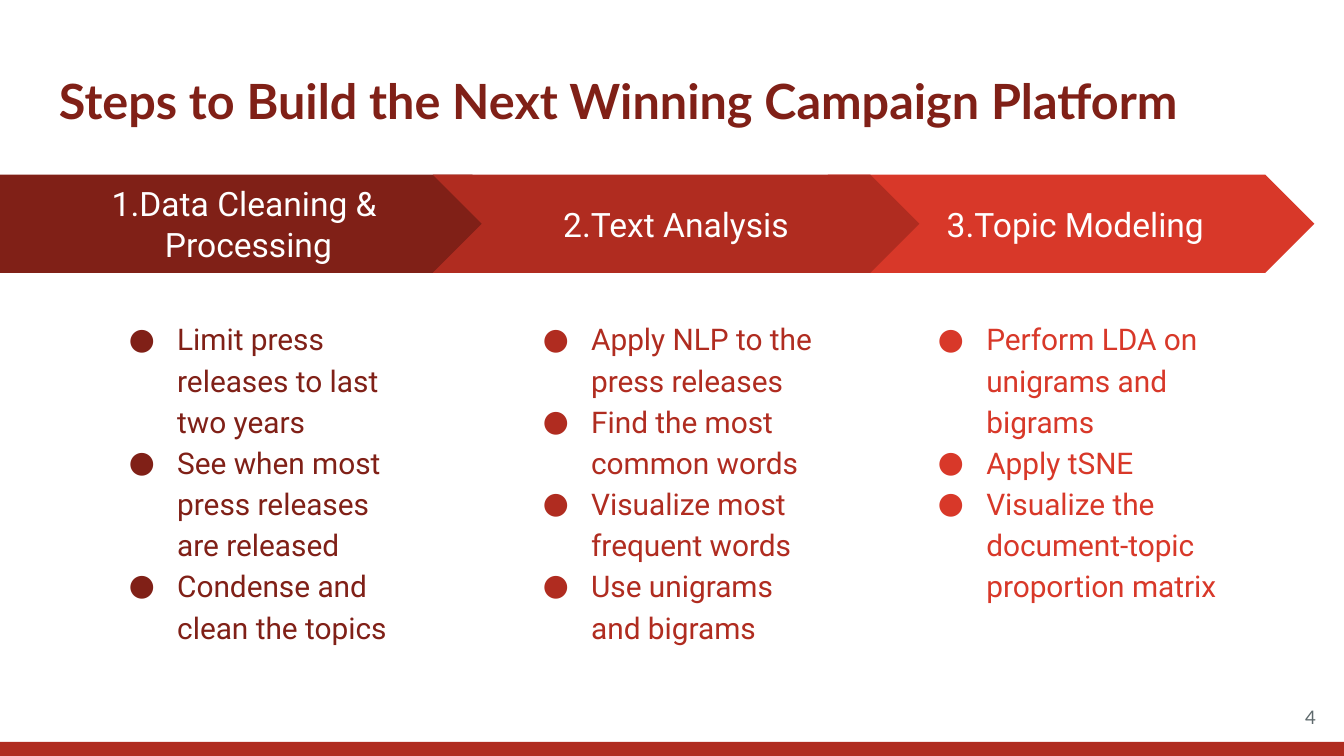
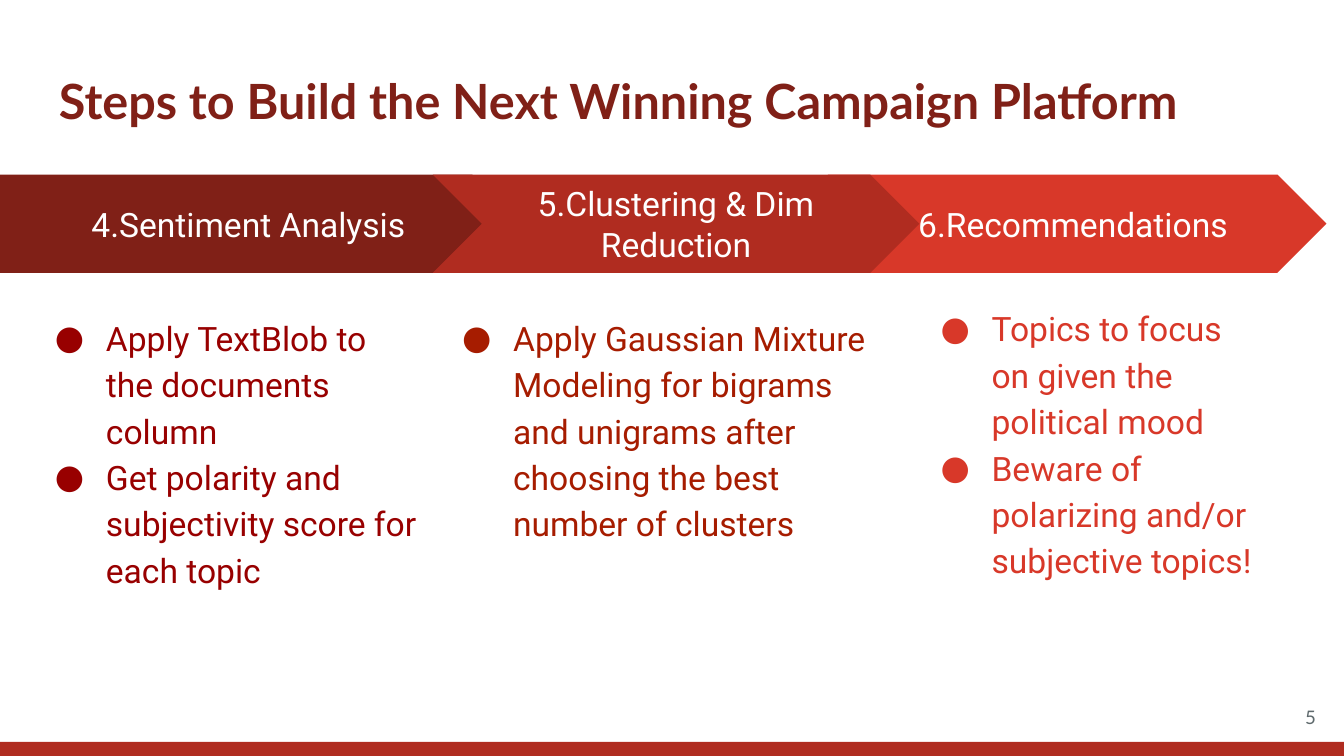
"""Build two slides on the six steps to a winning campaign platform."""
from lxml.etree import SubElement
from pptx import Presentation
from pptx.dml.color import RGBColor
from pptx.enum.shapes import MSO_SHAPE as SHAPE
from pptx.enum.text import MSO_ANCHOR as ANCHOR, PP_ALIGN as ALIGN
from pptx.oxml.ns import qn
from pptx.util import Inches, Pt

TITLE = "Steps to Build the Next Winning Campaign Platform"
COLORS = {"dark": "802017", "brick": "B02C20", "bright": "D83829",
          "crimson": "980000", "rust": "A61C00", "white": "FFFFFF", "gray": "5E696C"}

SLIDES = [
    {"number": 4, "bullet_size": 16, "hanging": 0.36, "last_arrow_width": 3.62, "steps": [
        {"heading": ["1.Data Cleaning & ", "Processing"], "color": "dark",
         "box": (0.72, 2.25, 2.45, 2.86),
         "tasks": ["Limit press releases to last two years",
                   "See when most press releases are released",
                   "Condense and clean the topics"]},
        {"heading": ["2.Text Analysis"], "color": "brick",
         "box": (3.8, 2.25, 2.45, 2.86),
         "tasks": ["Apply NLP to the press releases",
                   "Find the most common words",
                   "Visualize most frequent words",
                   "Use unigrams and bigrams"]},
        {"heading": [" 3.Topic Modeling"], "color": "bright",
         "box": (6.74, 2.25, 2.45, 2.86),
         "tasks": ["Perform LDA on unigrams and bigrams",
                   "Apply tSNE",
                   "Visualize the document-topic proportion matrix"]},
    ]},
    {"number": 5, "bullet_size": 18, "hanging": 0.38, "last_arrow_width": 3.71, "steps": [
        {"heading": ["4.Sentiment Analysis"], "color": "crimson",
         "box": (0.19, 2.22, 3.03, 2.86),
         "tasks": ["Apply TextBlob to the documents column",
                   "Get polarity and subjectivity score for each topic"]},
        {"heading": ["5.Clustering & Dim Reduction"], "color": "rust",
         "box": (3.22, 2.22, 3.4, 2.86),
         "tasks": ["Apply Gaussian Mixture Modeling for bigrams and unigrams "
                   "after choosing the best number of clusters"]},
        {"heading": ["6.Recommendations "], "color": "bright",
         "box": (6.78, 2.15, 2.7, 2.86),
         "tasks": ["Topics to focus on given the political mood",
                   "Beware of polarizing and/or subjective topics!"]},
    ]},
]

ARROWS = [(SHAPE.PENTAGON, 0, 3.88, "dark"),
          (SHAPE.CHEVRON, 3.22, 3.62, "brick"),
          (SHAPE.CHEVRON, 6.16, None, "bright")]
ARROW_TOP, ARROW_HEIGHT = 1.3, 0.73
STACKING = (2, 0, 1)

FORMATS = {
    "title": {"name": "Lato", "size": Pt(26), "bold": True},
    "heading": {"name": "Roboto", "size": Pt(18)},
    "number": {"name": "Lato", "size": Pt(10)},
}
FRAME = {"word_wrap": True, "margin_left": Inches(0.1), "margin_right": Inches(0.1),
         "margin_top": Inches(0.1), "margin_bottom": Inches(0.1)}


def apply(target, values):
    for name, value in values.items():
        setattr(target, name, value)


def add_bullet(paragraph, hanging, color):
    props = paragraph._p.get_or_add_pPr()
    props.set("marL", str(Inches(0.5)))
    props.set("indent", str(-Inches(hanging)))
    bullet_color = SubElement(props, qn("a:buClr"))
    SubElement(bullet_color, qn("a:srgbClr"), val=COLORS[color])
    SubElement(props, qn("a:buFont"), typeface="Roboto")
    SubElement(props, qn("a:buChar"), char="●")


def write(shape, lines, font, color, anchor=ANCHOR.TOP, align=ALIGN.LEFT,
          spacing=None, hanging=None):
    frame = shape.text_frame
    apply(frame, {**FRAME, "vertical_anchor": anchor})
    frame.text = "\n".join(lines)
    for paragraph in frame.paragraphs:
        apply(paragraph, {"alignment": align, "line_spacing": spacing})
        if hanging:
            add_bullet(paragraph, hanging, color)
        apply(paragraph.font, font)
        paragraph.font.color.rgb = RGBColor.from_string(COLORS[color])


def add_text(slide, box, *args, **options):
    write(slide.shapes.add_textbox(*map(Inches, box)), *args, **options)


def add_block(slide, kind, box, color):
    block = slide.shapes.add_shape(kind, *map(Inches, box))
    block.shadow.inherit = False
    block.fill.solid()
    block.fill.fore_color.rgb = RGBColor.from_string(COLORS[color])
    block.line.fill.background()
    return block


def add_step(slide, content, position):
    step = content["steps"][position]
    kind, left, width, color = ARROWS[position]
    width = width or content["last_arrow_width"]
    arrow = add_block(slide, kind, (left, ARROW_TOP, width, ARROW_HEIGHT), color)
    write(arrow, step["heading"], FORMATS["heading"], "white", ANCHOR.MIDDLE, ALIGN.CENTER)
    add_text(slide, step["box"], step["tasks"],
             {"name": "Roboto", "size": Pt(content["bullet_size"])}, step["color"],
             spacing=1.15, hanging=content["hanging"])


def build_slide(deck, content):
    slide = deck.slides.add_slide(deck.slide_layouts[6])
    add_block(slide, SHAPE.RECTANGLE, (0, 5.52, 10, 0.11), "brick")
    add_text(slide, (0.34, 0.43, 9.32, 0.68), [TITLE], FORMATS["title"], "dark")
    for position in STACKING:
        add_step(slide, content, position)
    add_text(slide, (9.29, 5.12, 0.6, 0.43), [str(content["number"])], FORMATS["number"],
             "gray", ANCHOR.MIDDLE, ALIGN.RIGHT)


def main():
    deck = Presentation()
    apply(deck, {"slide_width": Inches(10), "slide_height": Inches(10 * 9 / 16)})
    for content in SLIDES:
        build_slide(deck, content)
    deck.save("out.pptx")


if __name__ == "__main__":
    main()
